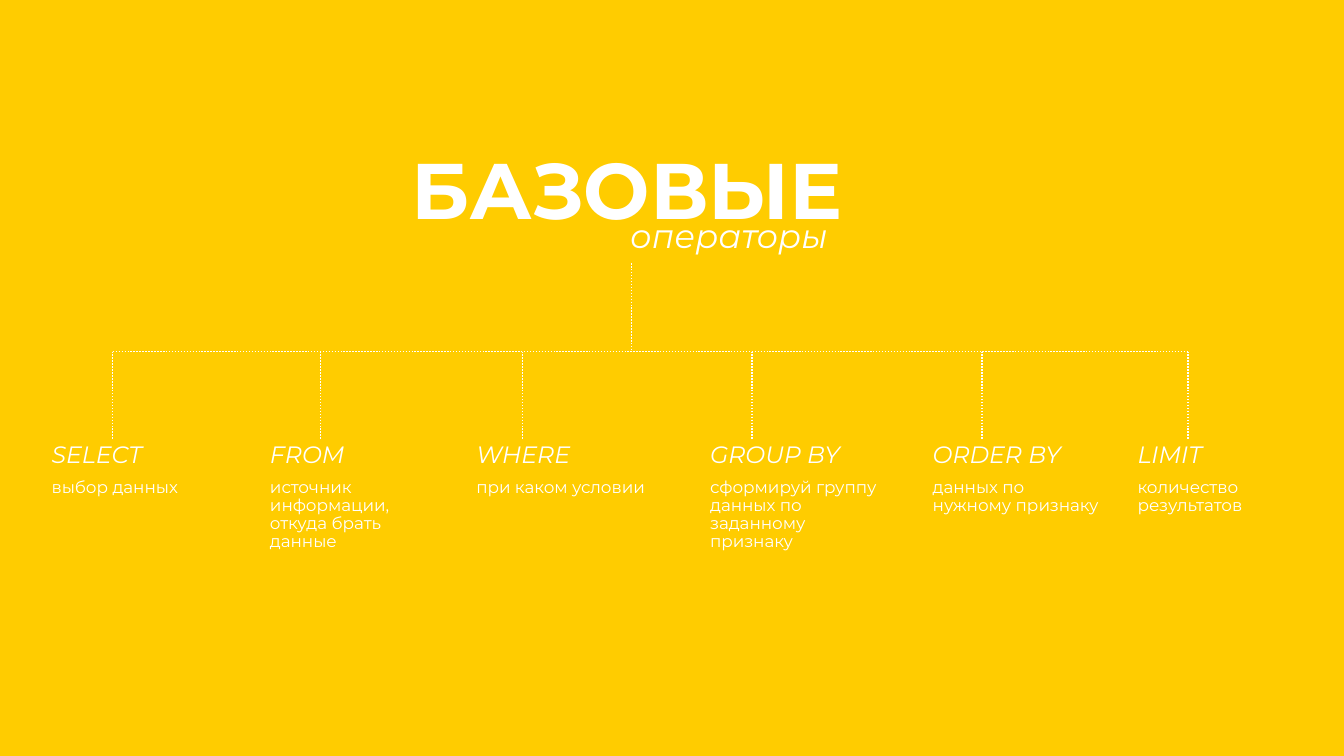
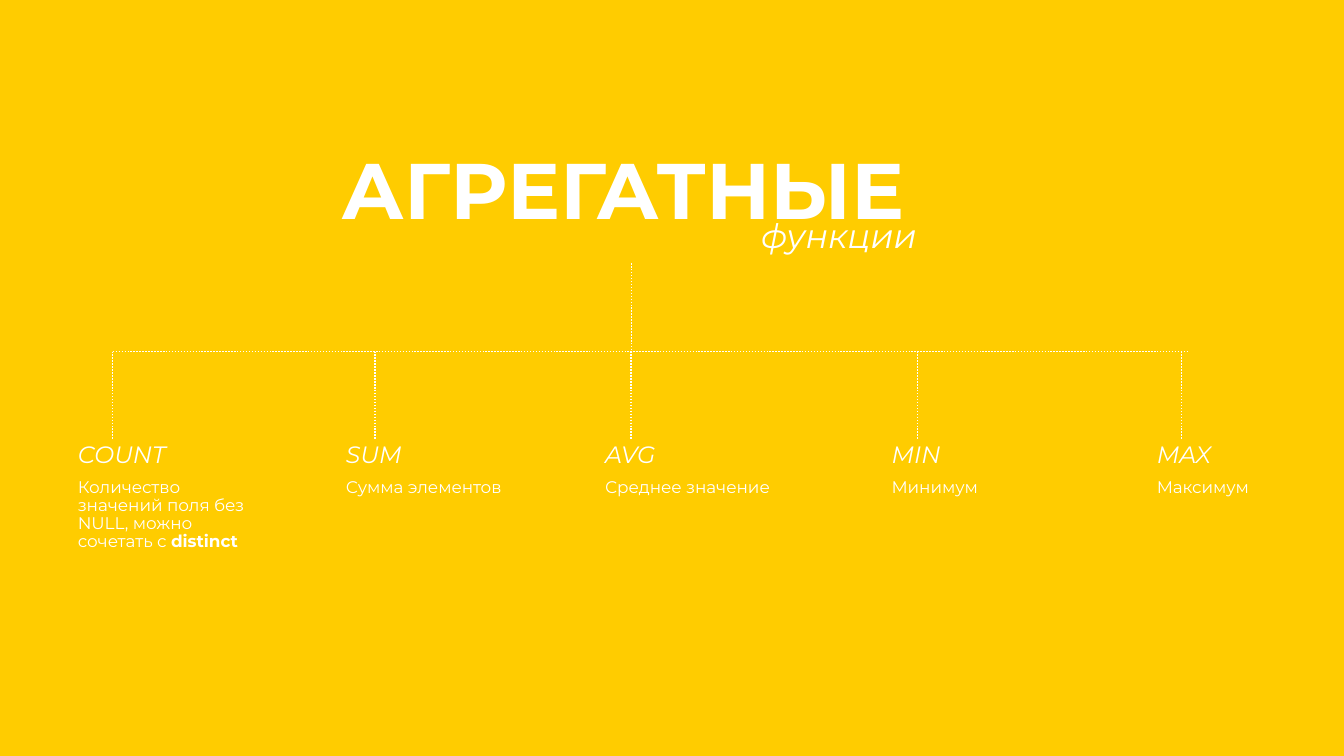
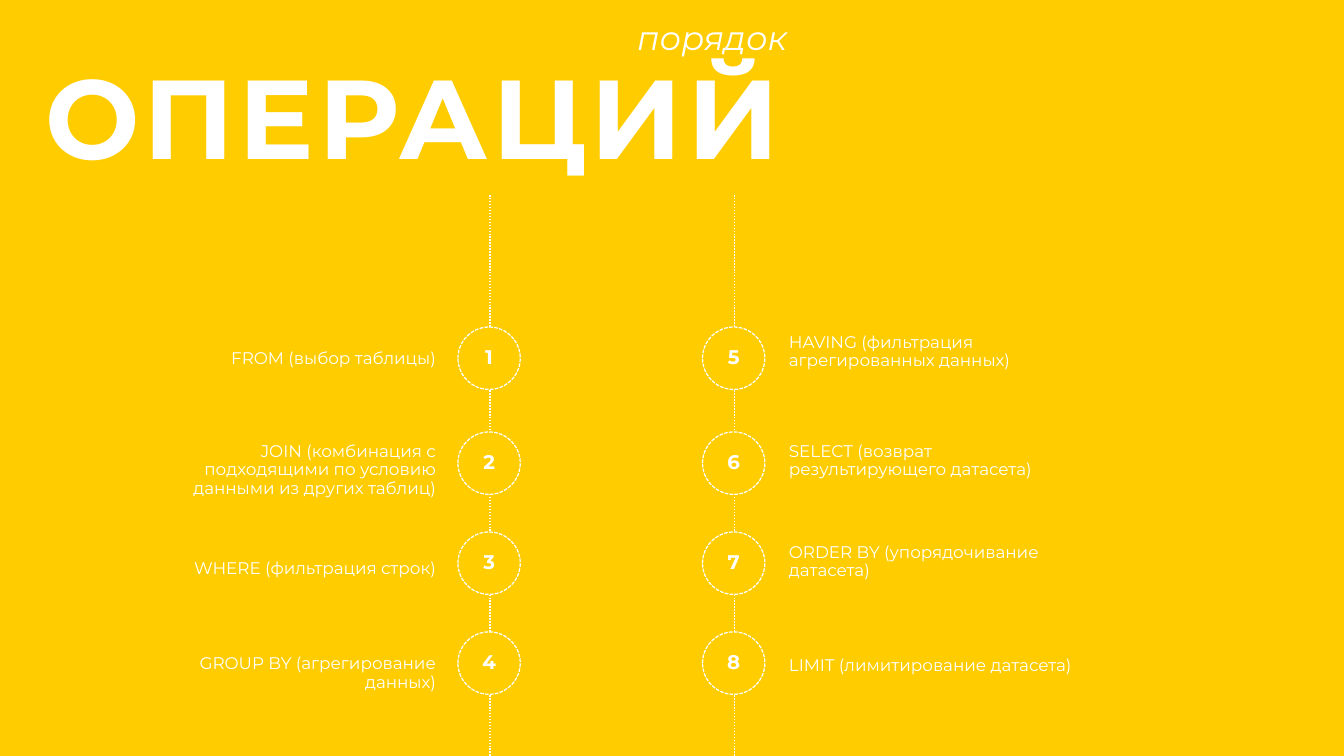
from dataclasses import dataclass

from lxml import etree
from pptx import Presentation
from pptx.dml.color import RGBColor
from pptx.enum.dml import MSO_LINE
from pptx.enum.shapes import MSO_CONNECTOR, MSO_SHAPE
from pptx.enum.text import MSO_ANCHOR, MSO_AUTO_SIZE, PP_ALIGN
from pptx.oxml.ns import qn
from pptx.util import Inches, Pt

LEFT, CENTER, RIGHT = PP_ALIGN.LEFT, PP_ALIGN.CENTER, PP_ALIGN.RIGHT
TOP, MIDDLE = MSO_ANCHOR.TOP, MSO_ANCHOR.MIDDLE
DOTTED, DASHED = MSO_LINE.ROUND_DOT, MSO_LINE.SQUARE_DOT
TITLE_ONLY = 5

# Positions and sizes are percentages of the slide's width and height.
RAIL_LEFT, RAIL_RIGHT, RAIL_Y = 8.39, 88.4, 46.5
TRUNK_X, TRUNK_TOP = 46.99, 34.8
BRANCH_Y, BRANCH_WIDTH, BRANCH_HEIGHT = 58.16, 13.8, 20
TITLE_TOP, TITLE_HEIGHT = 19.51, 9.47
SUBTITLE_TOP, SUBTITLE_WIDTH, SUBTITLE_HEIGHT = 28.52, 18.72, 6.94
STEP_TOPS = (43.25, 57.13, 70.36, 83.58)
CIRCLE_WIDTH, CIRCLE_HEIGHT = 4.64, 8.26
STEP_LABEL_WIDTH, TIMELINE_TOP = 22.68, 25.8


@dataclass(frozen=True)
class Theme:
    width: float = 18.96
    height: float = 10.66
    background: RGBColor = RGBColor(0xFF, 0xCC, 0x00)
    circle: RGBColor = RGBColor(0xFF, 0xCD, 0x00)
    ink: RGBColor = RGBColor(0xFF, 0xFF, 0xFF)
    font: str = "Montserrat"
    title: float = 80
    large_title: float = 113.8
    subtitle: float = 34.1
    heading: float = 24
    number: float = 20
    body: float = 17.1
    line: float = 1.5
    outline: float = 1.25
    line_spacing: float = 0.9
    space_before: float = 10


@dataclass(frozen=True)
class Branch:
    line_x: float
    text_x: float
    heading: str
    detail: str
    bold_end: str = ""


class Builder:
    def __init__(self, theme):
        self.theme = theme
        self.deck = Presentation()
        self.deck.slide_width = Inches(theme.width)
        self.deck.slide_height = Inches(theme.height)
        fill = self.deck.slide_master.background.fill
        fill.solid()
        fill.fore_color.rgb = theme.background
        self.page = None

    def new_page(self):
        self.page = self.deck.slides.add_slide(self.deck.slide_layouts[TITLE_ONLY])

    def x(self, share):
        return Inches(self.theme.width * share / 100)

    def y(self, share):
        return Inches(self.theme.height * share / 100)

    def area(self, left, top, width, height):
        return self.x(left), self.y(top), self.x(width), self.y(height)

    def style(self, para, size, align=LEFT, bold=False, italic=False):
        para.alignment = align
        para.line_spacing = self.theme.line_spacing
        for span in para.runs:
            font = span.font
            font.name, font.size = self.theme.font, Pt(size)
            font.bold, font.italic = bold, italic
            font.color.rgb = self.theme.ink

    def prepare(self, frame, anchor=TOP):
        frame.word_wrap = True
        frame.auto_size = MSO_AUTO_SIZE.NONE
        frame.vertical_anchor = anchor

    def title(self, text, place, size, align=CENTER, spacing=0):
        box = self.page.shapes.title
        box.left, box.top, box.width, box.height = self.area(*place)
        frame = box.text_frame
        frame.text = text
        self.prepare(frame)
        self.style(frame.paragraphs[0], size, align, bold=True)
        if spacing:
            properties = frame.paragraphs[0].runs[0].font._element
            properties.set("spc", str(round(spacing * 100)))

    def text(self, text, place, size, align=LEFT, italic=False):
        frame = self.page.shapes.add_textbox(*self.area(*place)).text_frame
        self.prepare(frame)
        frame.text = text
        self.style(frame.paragraphs[0], size, align, italic=italic)
        return frame

    def line(self, x1, y1, x2, y2):
        connector = self.page.shapes.add_connector(
            MSO_CONNECTOR.STRAIGHT, self.x(x1), self.y(y1), self.x(x2), self.y(y2))
        self.stroke(connector.line, self.theme.line, DOTTED)
        etree.SubElement(connector._element.spPr, qn("a:effectLst"))

    def stroke(self, line, width, dash):
        line.color.rgb = self.theme.ink
        line.width = Pt(width)
        line.dash_style = dash

    def branch(self, branch):
        self.line(branch.line_x, RAIL_Y, branch.line_x, BRANCH_Y)
        place = (branch.text_x, BRANCH_Y, BRANCH_WIDTH, BRANCH_HEIGHT)
        frame = self.text(branch.heading, place, self.theme.heading, italic=True)
        para = frame.add_paragraph()
        para.text = branch.detail
        if branch.bold_end:
            para.add_run().text = branch.bold_end
        self.style(para, self.theme.body)
        para.space_before = Pt(self.theme.space_before)
        if branch.bold_end:
            para.runs[-1].font.bold = True

    def tree(self, title, title_x, title_width, subtitle, subtitle_x, branches):
        self.new_page()
        self.title(title, (title_x, TITLE_TOP, title_width, TITLE_HEIGHT),
                   self.theme.title)
        self.text(subtitle, (subtitle_x, SUBTITLE_TOP, SUBTITLE_WIDTH, SUBTITLE_HEIGHT),
                  self.theme.subtitle, CENTER, italic=True)
        self.line(TRUNK_X, TRUNK_TOP, TRUNK_X, RAIL_Y)
        self.line(RAIL_LEFT, RAIL_Y, RAIL_RIGHT, RAIL_Y)
        for branch in branches:
            self.branch(branch)

    def circle(self, number, left, top):
        circle = self.page.shapes.add_shape(
            MSO_SHAPE.OVAL, *self.area(left, top, CIRCLE_WIDTH, CIRCLE_HEIGHT))
        circle.shadow.inherit = False
        circle.fill.solid()
        circle.fill.fore_color.rgb = self.theme.circle
        self.stroke(circle.line, self.theme.outline, DASHED)
        frame = circle.text_frame
        frame.text = str(number)
        self.prepare(frame, MIDDLE)
        self.style(frame.paragraphs[0], self.theme.number, CENTER, bold=True)

    def timeline(self, line_x, circle_x, label_x, align, first, steps):
        self.line(line_x, TIMELINE_TOP, line_x, 100)
        for index, (label_top, label) in enumerate(steps):
            self.circle(first + index, circle_x, STEP_TOPS[index])
            self.text(label, (label_x, label_top, STEP_LABEL_WIDTH, CIRCLE_HEIGHT),
                      self.theme.body, align)


OPERATORS = (
    Branch(8.39, 3.32, "SELECT", "выбор данных"),
    Branch(23.84, 19.57, "FROM", "источник информации, откуда брать данные"),
    Branch(38.87, 34.92, "WHERE", "при каком условии"),
    Branch(55.96, 52.32, "GROUP BY", "сформируй группу данных по заданному признаку"),
    Branch(73.05, 68.88, "ORDER BY", "данных по нужному признаку"),
    Branch(88.4, 84.12, "LIMIT", "количество результатов"),
)
FUNCTIONS = (
    Branch(8.39, 5.27, "COUNT",
           "Количество значений поля без NULL, можно сочетать с ", "distinct"),
    Branch(27.9, 25.21, "SUM", "Сумма элементов"),
    Branch(46.94, 44.51, "AVG", "Среднее значение"),
    Branch(68.25, 65.82, "MIN", "Минимум"),
    Branch(87.92, 85.55, "MAX", "Максимум"),
)
# Each step: top of its label, label
FIRST_STEPS = (
    (45.87, "FROM (выбор таблицы)"),
    (58.16, "JOIN (комбинация с подходящими по условию данными из других таблиц)"),
    (73.64, "WHERE (фильтрация строк)"),
    (86.21, "GROUP BY (агрегирование данных)"),
)
LAST_STEPS = (
    (43.71, "HAVING (фильтрация агрегированных данных)"),
    (58.16, "SELECT (возврат результирующего датасета)"),
    (71.48, "ORDER BY (упорядочивание датасета)"),
    (86.4, "LIMIT (лимитирование датасета)"),
)


def main():
    theme = Theme()
    builder = Builder(theme)

    # Operators and functions as trees
    builder.tree("БАЗОВЫЕ", 27.74, 37.87, "операторы", 44.88, OPERATORS)
    builder.tree("АГРЕГАТНЫЕ", 23.84, 45.04, "функции", 53.06, FUNCTIONS)

    # Order of operations as two timelines
    builder.new_page()
    builder.title("ОПЕРАЦИЙ", (2.85, 7.88, 75.63, 23.83), theme.large_title,
                  LEFT, spacing=4.3)
    builder.text("порядок", (46.89, 2.44, 30.91, SUBTITLE_HEIGHT),
                 theme.subtitle, italic=True)
    builder.timeline(36.45, 34.07, 10.28, RIGHT, 1, FIRST_STEPS)
    builder.timeline(54.64, 52.27, 58.18, LEFT, 5, LAST_STEPS)

    builder.deck.save("out.pptx")


if __name__ == "__main__":
    main()
